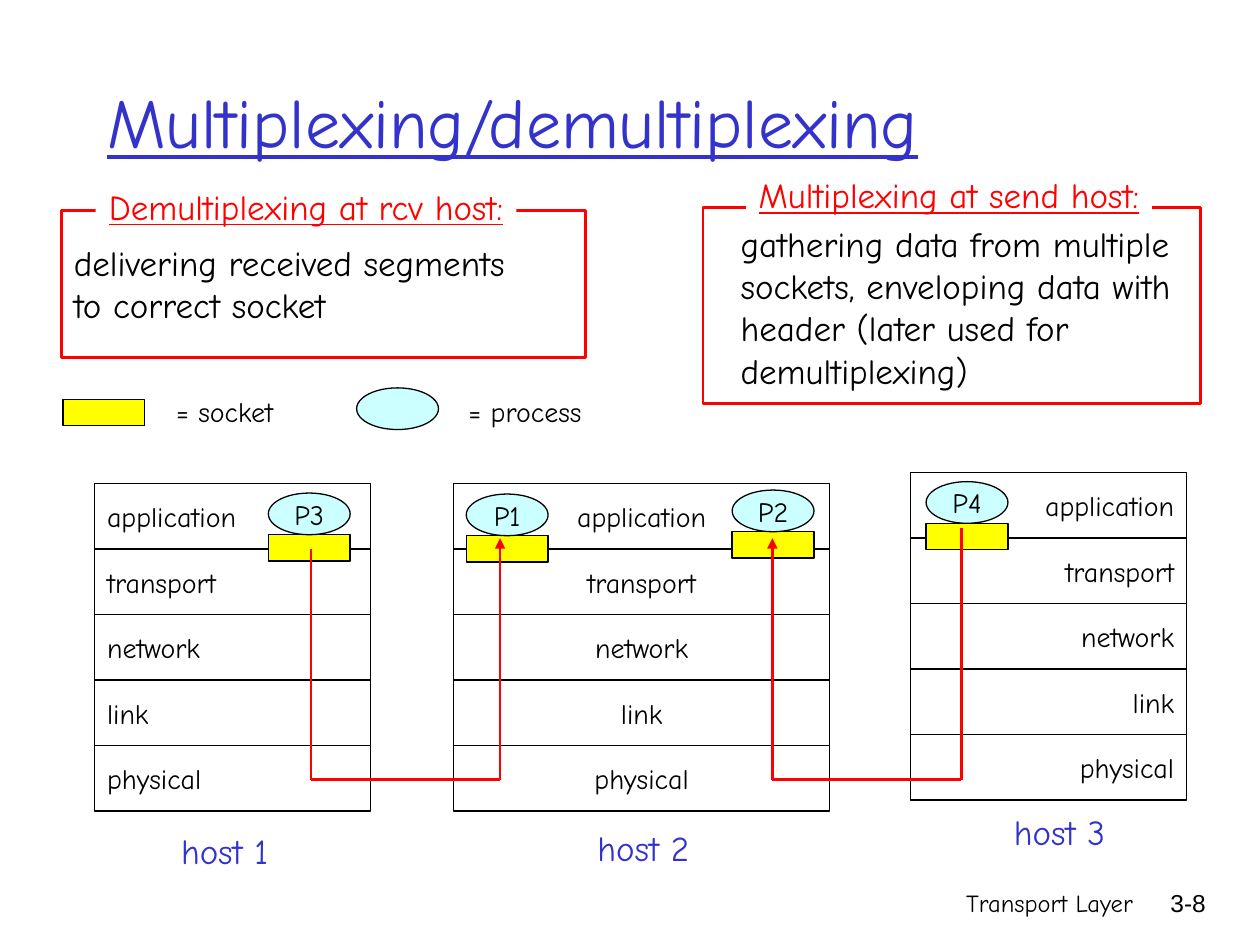
from dataclasses import dataclass
from typing import NamedTuple, Optional

from lxml.etree import SubElement
from pptx import Presentation
from pptx.dml.color import RGBColor
from pptx.enum.shapes import MSO_CONNECTOR, MSO_SHAPE
from pptx.enum.text import MSO_ANCHOR, PP_ALIGN
from pptx.oxml.ns import qn
from pptx.slide import Slide
from pptx.util import Cm, Pt


@dataclass(frozen=True)
class Theme:
    ink: RGBColor = RGBColor(0, 0, 0)
    paper: RGBColor = RGBColor(255, 255, 255)
    blue: RGBColor = RGBColor(0x33, 0x33, 0xCC)
    red: RGBColor = RGBColor(255, 0, 0)
    yellow: RGBColor = RGBColor(255, 255, 0)
    cyan: RGBColor = RGBColor(0xCC, 255, 255)
    face: str = "Comic Neue"
    plain: str = "Arial"
    title: int = 40
    body: int = 20
    label: int = 16
    foot: int = 14
    thin: float = 0.75
    bold: float = 1.5


THEME = Theme()
LEFT, MID, RIGHT = PP_ALIGN.LEFT, PP_ALIGN.CENTER, PP_ALIGN.RIGHT


class Box(NamedTuple):
    """Left, top, width and height in centimetres."""
    x: float
    y: float
    w: float
    h: float


class Type(NamedTuple):
    size: int = THEME.label
    color: RGBColor = THEME.ink
    align: PP_ALIGN = MID
    under: bool = False
    face: str = THEME.face


class Host(NamedTuple):
    x: float
    y: float
    w: float
    align: PP_ALIGN
    name: str
    tag: Box


class Port(NamedTuple):
    """A process sitting on its socket; y is the top of the socket."""
    name: str
    x: float
    y: float


class Route(NamedTuple):
    start: float
    top: float
    end: float


class Panel(NamedTuple):
    frame: Box
    body: str
    head: str
    tab: Box
    inner: Optional[Box] = None


LAYERS = ["application", "transport", "network", "link", "physical"]
ROW = 1.32
PORT_W, SOCKET_H, PROC_H = 1.65, 0.53, 0.84
BUS_Y, TIP_Y = 15.72, 10.85
BODY = Type(THEME.body, align=LEFT)

HOSTS = [
    Host(1.91, 9.75, 5.56, LEFT, "host 1", Box(3.4, 16.59, 2.26, 1.12)),
    Host(18.36, 9.53, 5.56, RIGHT, "host 3", Box(20.19, 16.21, 2.34, 1.12)),
    Host(9.14, 9.75, 7.59, MID, "host 2", Box(11.79, 16.54, 2.36, 1.12)),
]
PORTS = [
    Port("P2", 14.76, 10.72),
    Port("P3", 5.41, 10.78),
    Port("P4", 18.67, 10.55),
    Port("P1", 9.4, 10.8),
]
ROUTES = [Route(6.27, 11.07, 10.08), Route(19.38, 10.64, 15.57)]
PANELS = [
    Panel(Box(1.24, 4.24, 10.57, 2.97),
          "delivering received segments\nto correct socket",
          "Demultiplexing at rcv host:", Box(1.93, 3.61, 8.48, 1.12)),
    Panel(Box(14.17, 4.19, 10.03, 3.94),
          "gathering data from multiple\nsockets, enveloping data with\n"
          "header (later used for\ndemultiplexing)",
          "Multiplexing at send host:", Box(15.04, 3.38, 8.18, 1.12),
          Box(14.68, 4.37, 9.45, 3.66)),
]


def write(shape, text: str, type_: Type, anchor: MSO_ANCHOR) -> None:
    frame = shape.text_frame
    frame.text = text
    frame.word_wrap = type_.align != MID
    frame.vertical_anchor = anchor
    for par in frame.paragraphs:
        par.alignment = type_.align
        for run in par.runs:
            font = run.font
            font.name, font.size = type_.face, Pt(type_.size)
            font.color.rgb, font.underline = type_.color, type_.under


def note(slide: Slide, box: Box, text: str, type_: Type,
         fill: Optional[RGBColor] = None,
         anchor: MSO_ANCHOR = MSO_ANCHOR.TOP) -> None:
    """Add a text box, filled if a colour is given."""
    shape = slide.shapes.add_textbox(*map(Cm, box))
    if fill is not None:
        shape.fill.solid()
        shape.fill.fore_color.rgb = fill
    write(shape, text, type_, anchor)


def block(slide: Slide, kind: MSO_SHAPE, box: Box, fill: Optional[RGBColor],
          text: str = "", type_: Type = Type(), line: RGBColor = THEME.ink,
          width: float = THEME.thin) -> None:
    """Add an outlined shape with its text centred in height."""
    shape = slide.shapes.add_shape(kind, *map(Cm, box))
    shape.shadow.inherit = False
    if fill is None:
        shape.fill.background()
    else:
        shape.fill.solid()
        shape.fill.fore_color.rgb = fill
    shape.line.color.rgb, shape.line.width = line, Pt(width)
    if text:
        write(shape, text, type_, MSO_ANCHOR.MIDDLE)


def wire(slide: Slide, x1: float, y1: float, x2: float, y2: float,
         arrow: bool = False) -> None:
    join = slide.shapes.add_connector(
        MSO_CONNECTOR.STRAIGHT, *map(Cm, (x1, y1, x2, y2)))
    join.line.color.rgb, join.line.width = THEME.red, Pt(THEME.bold)
    if arrow:
        SubElement(join.line._get_or_add_ln(), qn("a:tailEnd"), type="triangle")
    SubElement(join._element.spPr, qn("a:effectLst"))


def socket(slide: Slide, x: float, y: float) -> None:
    block(slide, MSO_SHAPE.RECTANGLE, Box(x, y, PORT_W, SOCKET_H), THEME.yellow)


def process(slide: Slide, x: float, y: float, name: str = "") -> None:
    block(slide, MSO_SHAPE.OVAL, Box(x, y, PORT_W, PROC_H), THEME.cyan, name)


def stack(slide: Slide, host: Host) -> None:
    """Draw the protocol layers of a host and its name."""
    for i, layer in enumerate(LAYERS):
        block(slide, MSO_SHAPE.RECTANGLE,
              Box(host.x, host.y + i * ROW, host.w, ROW),
              THEME.paper, layer, Type(align=host.align))
    note(slide, host.tag, host.name, Type(THEME.body, THEME.blue))


def panel(slide: Slide, item: Panel) -> None:
    """Draw a framed definition whose heading breaks the top edge."""
    if item.inner:
        note(slide, item.inner, item.body, BODY)
    block(slide, MSO_SHAPE.RECTANGLE, item.frame, None,
          "" if item.inner else item.body, BODY, THEME.red, THEME.bold)
    note(slide, item.tab, item.head,
         Type(THEME.body, THEME.red, under=True), THEME.paper)


def main() -> None:
    deck = Presentation()
    deck.slide_width, deck.slide_height = Cm(25.4), Cm(19.05)
    slide = deck.slides.add_slide(deck.slide_layouts[6])

    note(slide, Box(15.04, 17.78, 8.05, 1.27), "Transport Layer",
         Type(THEME.foot, align=RIGHT))
    note(slide, Box(22.68, 17.78, 1.88, 1.27), "3-8",
         Type(THEME.foot, align=RIGHT, face=THEME.plain))
    note(slide, Box(1.91, 0.84, 21.59, 3.18), "Multiplexing/demultiplexing",
         Type(THEME.title, THEME.blue, LEFT, True), anchor=MSO_ANCHOR.MIDDLE)

    for host in HOSTS:
        stack(slide, host)
    for port in PORTS:
        socket(slide, port.x, port.y)
        process(slide, port.x, port.y - PROC_H, port.name)
    for way in ROUTES:
        wire(slide, way.start, way.top, way.start, BUS_Y)
        wire(slide, way.end, BUS_Y, way.end, TIP_Y, arrow=True)
        wire(slide, way.start, BUS_Y, way.end, BUS_Y)

    socket(slide, 1.27, 8.05)
    process(slide, 7.19, 7.82)
    note(slide, Box(9.19, 7.82, 2.79, 0.94), "= process", Type())
    note(slide, Box(3.3, 7.82, 2.46, 0.94), "= socket", Type())
    for item in PANELS:
        panel(slide, item)

    deck.save("out.pptx")


if __name__ == "__main__":
    main()
